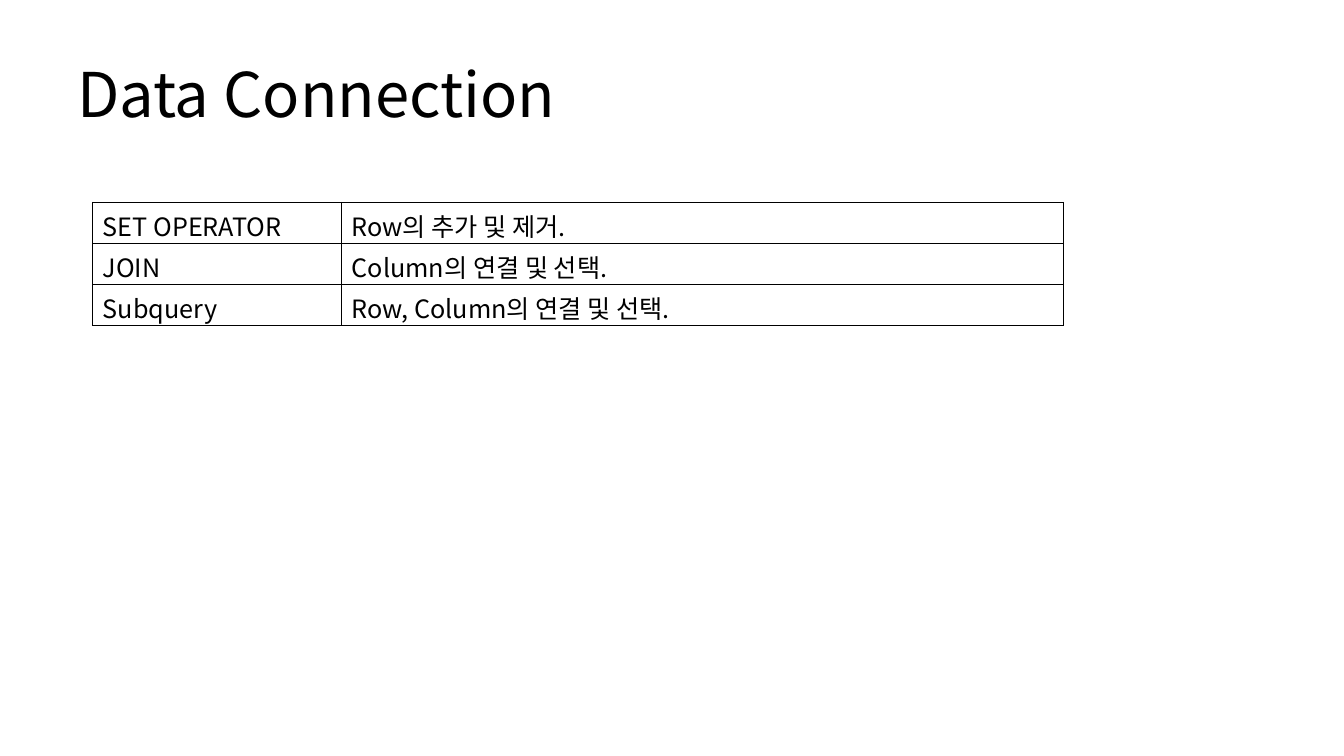
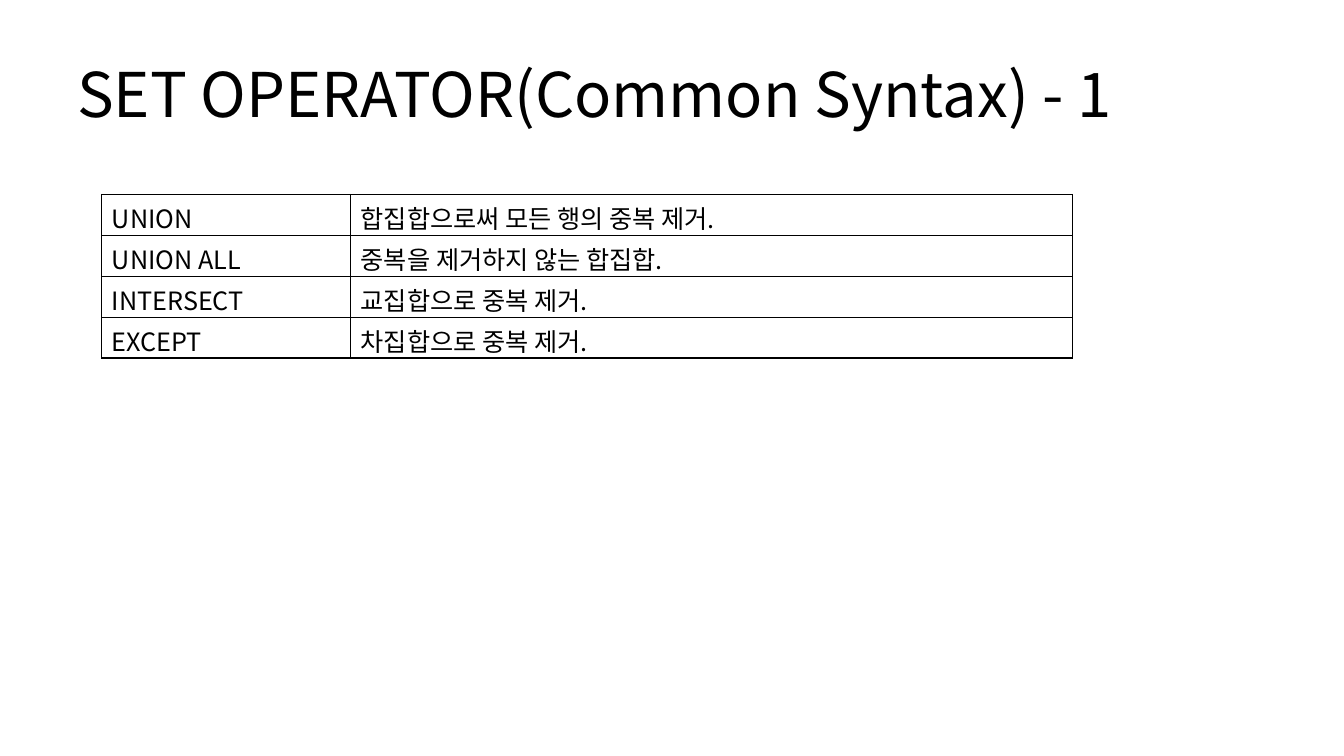
from lxml import etree
from pptx import Presentation
from pptx.dml.color import RGBColor
from pptx.enum import text
from pptx.oxml import ns
from pptx.util import Pt

BLACK = RGBColor(0x00, 0x00, 0x00)
FONT = "Noto Sans CJK KR"
COLUMN_WIDTHS = (177.84, 515.52)
ROW_HEIGHT = 29.2
BORDER_WIDTH = 1

SLIDES = [
    ("Data Connection", 66.24, 144.72, [
        ("SET OPERATOR", "Row의 추가 및 제거."),
        ("JOIN", "Column의 연결 및 선택."),
        ("Subquery", "Row, Column의 연결 및 선택."),
    ]),
    ("SET OPERATOR(Common Syntax) - 1", 72.72, 138.96, [
        ("UNION", "합집합으로써 모든 행의 중복 제거."),
        ("UNION ALL", "중복을 제거하지 않는 합집합."),
        ("INTERSECT", "교집합으로 중복 제거."),
        ("EXCEPT", "차집합으로 중복 제거."),
    ]),
]


def write(frame, words, size):
    span = frame.paragraphs[0].add_run()
    span.text = words
    for name, value in {"name": FONT, "size": Pt(size)}.items():
        setattr(span.font, name, value)
    span.font.color.rgb = BLACK
    # Korean letters take the East Asian typeface
    etree.SubElement(span.font._element, ns.qn("a:ea"), typeface=FONT)


def add_borders(cell):
    properties = cell._tc.get_or_add_tcPr()
    for index, side in enumerate(("lnL", "lnR", "lnT", "lnB")):
        line = etree.Element(ns.qn("a:" + side), w=str(Pt(BORDER_WIDTH)))
        fill = etree.SubElement(line, ns.qn("a:solidFill"))
        etree.SubElement(fill, ns.qn("a:srgbClr"), val=str(BLACK))
        properties.insert(index, line)


deck = Presentation()
deck.slide_width, deck.slide_height = Pt(960), Pt(540)

for title, left, top, rows in SLIDES:
    page = deck.slides.add_slide(deck.slide_layouts[6])

    # Title
    box = page.shapes.add_textbox(Pt(48), Pt(21.6), Pt(864), Pt(90))
    box.text_frame.word_wrap = True
    box.text_frame.vertical_anchor = text.MSO_ANCHOR.MIDDLE
    write(box.text_frame, title, 44)

    # Table of terms and meanings
    table = page.shapes.add_table(
        len(rows), len(COLUMN_WIDTHS), Pt(left), Pt(top),
        Pt(sum(COLUMN_WIDTHS)), Pt(ROW_HEIGHT * len(rows))).table
    table.first_row = table.horz_banding = False
    for column, width in zip(table.columns, COLUMN_WIDTHS):
        column.width = Pt(width)
    for row_index, row in enumerate(rows):
        table.rows[row_index].height = Pt(ROW_HEIGHT)
        for column_index, words in enumerate(row):
            cell = table.cell(row_index, column_index)
            cell.fill.background()
            add_borders(cell)
            if column_index == 0:
                cell.vertical_anchor = text.MSO_ANCHOR.MIDDLE
            write(cell.text_frame, words, 18)

deck.save("out.pptx")
